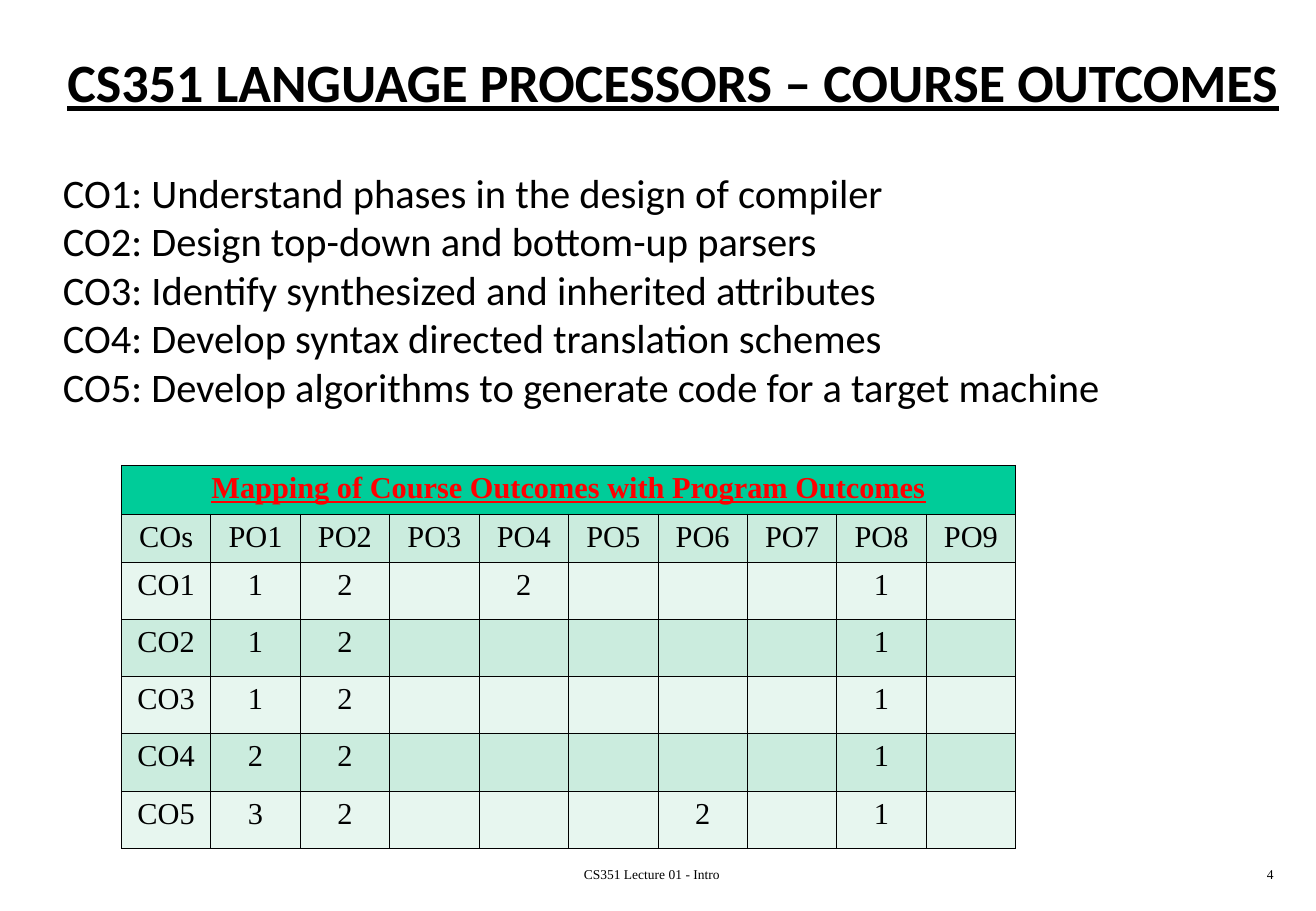
from lxml import etree
from pptx import Presentation
from pptx.dml.color import RGBColor
from pptx.enum.text import MSO_ANCHOR, PP_ALIGN
from pptx.oxml.ns import qn
from pptx.util import Pt

LEFT, CENTER, RIGHT = PP_ALIGN.LEFT, PP_ALIGN.CENTER, PP_ALIGN.RIGHT
TOP, MIDDLE = MSO_ANCHOR.TOP, MSO_ANCHOR.MIDDLE

# Content
TITLE = "CS351 LANGUAGE PROCESSORS – COURSE OUTCOMES"
OUTCOMES = [
    "CO1: Understand phases in the design of compiler",
    "CO2: Design top-down and bottom-up parsers",
    "CO3: Identify synthesized and inherited attributes",
    "CO4: Develop syntax directed translation schemes",
    "CO5: Develop algorithms to generate code for a target machine",
]
MAPPING_TITLE = "Mapping of Course Outcomes with Program Outcomes"
PROGRAM_OUTCOMES = [f"PO{number}" for number in range(1, 10)]
MAPPING = {
    "CO1": {"PO1": 1, "PO2": 2, "PO4": 2, "PO8": 1},
    "CO2": {"PO1": 1, "PO2": 2, "PO8": 1},
    "CO3": {"PO1": 1, "PO2": 2, "PO8": 1},
    "CO4": {"PO1": 2, "PO2": 2, "PO8": 1},
    "CO5": {"PO1": 3, "PO2": 2, "PO6": 2, "PO8": 1},
}
FOOTER = "CS351 Lecture 01 - Intro"
PAGE_NUMBER = "4"


class Theme:
    sans, serif = "Calibri", "Times New Roman"
    title_size, body_size, table_size, footer_size = 32, 24, 18, 8
    black, red = "000000", "FF0000"
    header_fill, dark_band, light_band = "00CC99", "CBECDE", "E7F6EF"
    border_width = 0.45


# Layout, in points
SLIDE_SIZE = (780.48, 540)
TITLE_AREA = (30.24, 12.24, 738, 72)
BODY_AREA = (30.24, 95.76, 738, 401.76)
NUMBER_AREA = (599.76, 509.76, 162.72, 18)
FOOTER_AREA = (240.48, 509.76, 292.32, 18)
TABLE_LEFT, TABLE_TOP, COLUMN_WIDTH = 72, 275.76, 53.05
HEADING_HEIGHT, MAPPING_HEIGHT = 28.8, 33.85
SIDE_MARGIN, EDGE_MARGIN = 7.2, 3.6


def write(para, text, font, size, color=Theme.black, align=LEFT, strong=False):
    """Add one run; strong text is bold and underlined."""
    para.alignment = align
    span = para.add_run()
    span.text = text
    span.font.name = font
    span.font.size = Pt(size)
    span.font.color.rgb = RGBColor.from_string(color)
    span.font.bold = strong
    span.font.underline = strong


def set_margins(holder, side=SIDE_MARGIN):
    holder.margin_left = holder.margin_right = Pt(side)
    holder.margin_top = holder.margin_bottom = Pt(EDGE_MARGIN)


def add_text(page, area, lines, font, size, align=LEFT, anchor=TOP,
             strong=False, side=SIDE_MARGIN):
    box = page.shapes.add_textbox(*map(Pt, area))
    frame = box.text_frame
    frame.word_wrap = True
    frame.vertical_anchor = anchor
    set_margins(frame, side)
    for index, line in enumerate(lines):
        para = frame.add_paragraph() if index else frame.paragraphs[0]
        write(para, line, font, size, align=align, strong=strong)


def style_cell(cell, fill):
    """Set margins, borders and fill; borders must precede the fill in XML."""
    set_margins(cell)
    properties = cell._tc.get_or_add_tcPr()
    for side in ("a:lnL", "a:lnR", "a:lnT", "a:lnB"):
        line = etree.SubElement(properties, qn(side), w=str(Pt(Theme.border_width)))
        solid = etree.SubElement(line, qn("a:solidFill"))
        etree.SubElement(solid, qn("a:srgbClr"), val=Theme.black)
    cell.fill.solid()
    cell.fill.fore_color.rgb = RGBColor.from_string(fill)


def add_mapping(page):
    rows = [[MAPPING_TITLE] + [""] * len(PROGRAM_OUTCOMES), ["COs"] + PROGRAM_OUTCOMES]
    for outcome, levels in MAPPING.items():
        rows.append([outcome] + [str(levels.get(name, "")) for name in PROGRAM_OUTCOMES])
    heights = [HEADING_HEIGHT] * 2 + [MAPPING_HEIGHT] * len(MAPPING)
    column_count = len(rows[0])
    table = page.shapes.add_table(
        len(rows), column_count, Pt(TABLE_LEFT), Pt(TABLE_TOP),
        Pt(COLUMN_WIDTH * column_count), Pt(sum(heights))).table
    table.first_row = table.horz_banding = False
    for column in table.columns:
        column.width = Pt(COLUMN_WIDTH)

    bands = (Theme.light_band, Theme.dark_band)
    for row_index, values in enumerate(rows):
        table.rows[row_index].height = Pt(heights[row_index])
        heading = row_index == 0
        fill = Theme.header_fill if heading else bands[row_index % 2]
        for column_index, value in enumerate(values):
            cell = table.cell(row_index, column_index)
            style_cell(cell, fill)
            if value:
                write(cell.text_frame.paragraphs[0], value, Theme.serif, Theme.table_size,
                      Theme.red if heading else Theme.black, CENTER, heading)
    table.cell(0, 0).merge(table.cell(0, column_count - 1))


def main():
    deck = Presentation()
    deck.slide_width, deck.slide_height = map(Pt, SLIDE_SIZE)
    page = deck.slides.add_slide(deck.slide_layouts[6])

    # Title and course outcomes
    add_text(page, TITLE_AREA, [TITLE], Theme.sans, Theme.title_size,
             CENTER, MIDDLE, strong=True, side=0)
    add_text(page, BODY_AREA, OUTCOMES, Theme.sans, Theme.body_size)

    # Page number, mapping table and footer
    add_text(page, NUMBER_AREA, [PAGE_NUMBER], Theme.serif, Theme.footer_size, RIGHT)
    add_mapping(page)
    add_text(page, FOOTER_AREA, [FOOTER], Theme.serif, Theme.footer_size, CENTER)

    deck.save("out.pptx")


if __name__ == "__main__":
    main()
